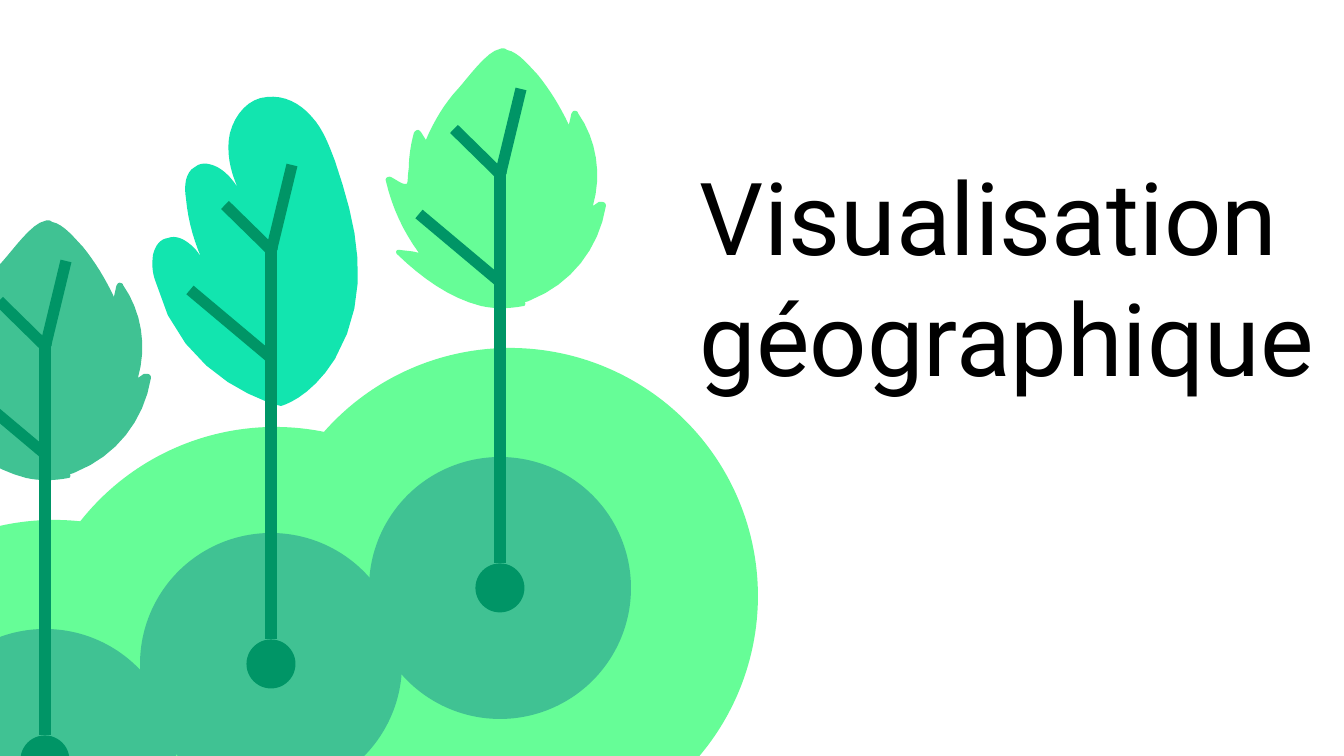
from lxml import etree
from pptx import Presentation
from pptx.dml.color import RGBColor
from pptx.enum.shapes import MSO_CONNECTOR, MSO_SHAPE
from pptx.enum.text import MSO_ANCHOR, PP_ALIGN
from pptx.oxml.ns import qn
from pptx.util import Pt

STRAIGHT = MSO_CONNECTOR.STRAIGHT
OVAL = MSO_SHAPE.OVAL
BOTTOM = MSO_ANCHOR.BOTTOM
LEFT = PP_ALIGN.LEFT

PX = 9144000 / 1344
STEPS = 8
HILL, DISC, DOT = 496, 262, 49
COLORS = {
    "lime": "66FD97",
    "green": "40C293",
    "teal": "12E5AF",
    "stem": "009566",
    "text": "000000",
}

SERRATED_LEAF = [
    (507, 50), (505, 48, 502, 48, 500, 49), (487, 51, 468, 78, 458, 89),
    (445, 103, 434, 121, 426, 140), (421, 132), (420, 131, 419, 130, 418, 130),
    (417, 130, 415, 131, 414, 133), (411, 144, 409, 156, 409, 167),
    (407, 180, 409, 185, 405, 184), (402, 184, 398, 181, 391, 177),
    (387, 176, 385, 179, 386, 181), (392, 207, 403, 231, 419, 253),
    (413, 251, 407, 251, 400, 250), (396, 249, 395, 253, 398, 255),
    (421, 277, 449, 298, 481, 306), (495, 309, 508, 309, 524, 306),
    (525, 306, 526, 304, 525, 302), (527, 302, 529, 301, 531, 300),
    (571, 284, 599, 249, 606, 206), (606, 204, 605, 202, 602, 202),
    (599, 202), (593, 206), (602, 175, 597, 140, 578, 113),
    (578, 112, 577, 111, 575, 111), (574, 110, 571, 113, 571, 116),
    (569, 125), (560, 106, 550, 90, 538, 75), (531, 68, 519, 52, 507, 50),
]
LOBED_LEAF = [
    (335, 359), (374, 292, 356, 223, 335, 161), (329, 145, 323, 129, 312, 117),
    (300, 103, 284, 95, 267, 97), (249, 98, 235, 114, 230, 133),
    (226, 151, 230, 171, 238, 188), (233, 180, 227, 173, 219, 168),
    (212, 164, 202, 161, 195, 167), (185, 172, 184, 187, 186, 198),
    (188, 222, 195, 245, 205, 266), (202, 258, 198, 251, 191, 245),
    (184, 239, 176, 235, 168, 238), (160, 239, 155, 246, 153, 255),
    (152, 263, 152, 271, 155, 280), (181, 384, 281, 406, 281, 406),
    (281, 406, 310, 399, 335, 359),
]
BRANCHES = [(0, 5, 21, -82), (3, 6, -46, -42), (-81, 43, 0, 111)]

TREES = [
    {"leaf": SERRATED_LEAF, "shift": (-455, 172), "color": "green",
     "trunk": (45, 343), "root": 760, "hill": (54, 768)},
    {"leaf": LOBED_LEAF, "shift": (0, 0), "color": "teal",
     "trunk": (271, 247), "root": 664, "hill": (275, 675)},
    {"leaf": SERRATED_LEAF, "shift": (0, 0), "color": "lime",
     "trunk": (500, 171), "root": 588, "hill": (510, 596)},
]

presentation = Presentation()
presentation.slide_width = round(1344 * PX)
presentation.slide_height = round(756 * PX)
slide = presentation.slides.add_slide(presentation.slide_layouts[6])


def add_circle(center_x, center_y, size, color):
    left, top = center_x - size / 2, center_y - size / 2
    circle = slide.shapes.add_shape(
        OVAL, round(left * PX), round(top * PX), round(size * PX), round(size * PX))
    circle.shadow.inherit = False
    circle.fill.solid()
    circle.fill.fore_color.rgb = RGBColor.from_string(COLORS[color])
    circle.line.fill.background()
    return circle


def add_stem(*ends):
    stem = slide.shapes.add_connector(STRAIGHT, *[round(value * PX) for value in ends])
    stem.line.width = Pt(6)
    stem.line.color.rgb = RGBColor.from_string(COLORS["stem"])
    etree.SubElement(stem._element.spPr, qn("a:effectLst"))
    return stem


for tree in TREES:
    add_circle(*tree["hill"], HILL, "lime")

for tree in TREES:
    shift_x, shift_y = tree["shift"]
    outline = [tree["leaf"][0]]
    for segment in tree["leaf"][1:]:
        if len(segment) == 2:
            outline.append(segment)
            continue
        x0, y0 = outline[-1]
        x1, y1, x2, y2, x3, y3 = segment
        for step in range(1, STEPS + 1):
            t = step / STEPS
            a, b, c, d = (1 - t) ** 3, 3 * t * (1 - t) ** 2, 3 * t * t * (1 - t), t ** 3
            outline.append((a * x0 + b * x1 + c * x2 + d * x3,
                            a * y0 + b * y1 + c * y2 + d * y3))
    points = [(round((x + shift_x) * PX), round((y + shift_y) * PX)) for x, y in outline]
    builder = slide.shapes.build_freeform(*points[0])
    builder.add_line_segments(points[1:], close=True)
    leaf = builder.convert_to_shape()
    leaf.shadow.inherit = False
    leaf.fill.solid()
    leaf.fill.fore_color.rgb = RGBColor.from_string(COLORS[tree["color"]])
    leaf.line.fill.background()

    trunk_x, trunk_top = tree["trunk"]
    for from_x, from_y, to_x, to_y in BRANCHES:
        add_stem(trunk_x + from_x, trunk_top + from_y, trunk_x + to_x, trunk_top + to_y)

for tree in TREES:
    trunk_x, trunk_top = tree["trunk"]
    add_circle(trunk_x, tree["root"], DISC, "green")
    dot = add_circle(trunk_x, tree["root"], DOT, "stem")
    trunk = add_stem(trunk_x, trunk_top, trunk_x, tree["root"] - DOT / 2)
    trunk.end_connect(dot, 0)

title = slide.shapes.add_textbox(
    round(687 * PX), round(109 * PX), round(646 * PX), round(301 * PX))
frame = title.text_frame
frame.word_wrap = True
frame.vertical_anchor = BOTTOM
frame.margin_left = frame.margin_right = round(13 * PX)
frame.margin_top = frame.margin_bottom = round(13 * PX)
paragraph = frame.paragraphs[0]
paragraph.text = "Visualisation géographique"
paragraph.alignment = LEFT
paragraph.font.name = "Roboto"
paragraph.font.size = Pt(54)
paragraph.font.color.rgb = RGBColor.from_string(COLORS["text"])

presentation.save("out.pptx")
